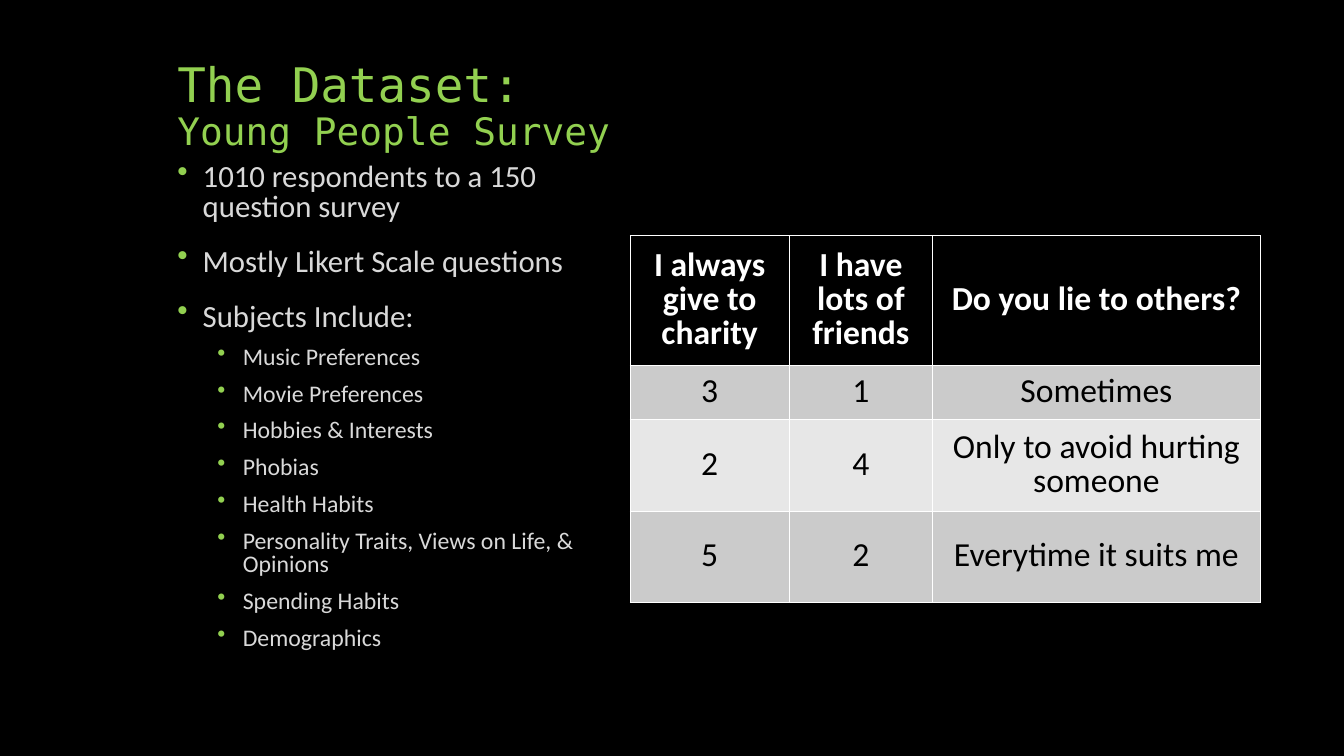
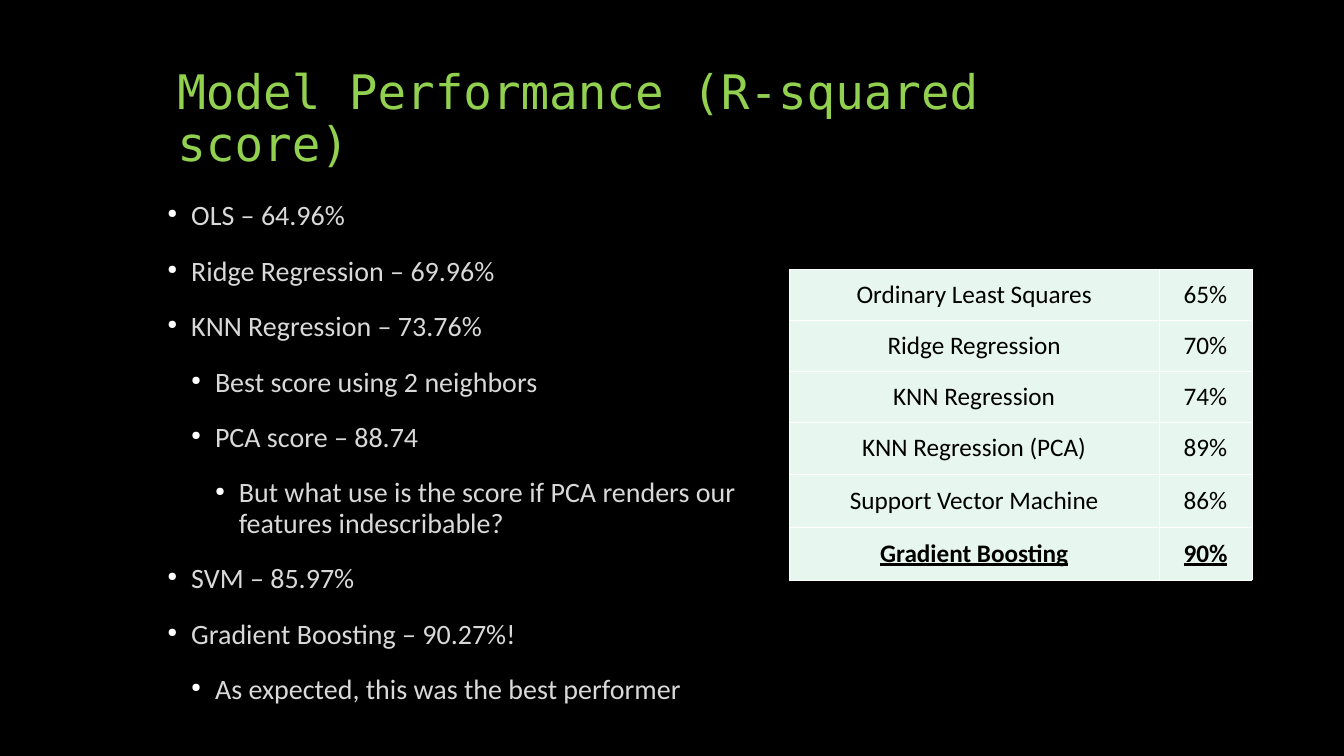
import pptx
import pptx.dml.color
import pptx.enum.text
import pptx.oxml.ns
import pptx.util
from lxml import etree

Cm = pptx.util.Cm
Pt = pptx.util.Pt

COLORS = {
    "black": "000000",
    "white": "FFFFFF",
    "green": "92D050",
    "light": "D9D9D9",
    "band_dark": "CBCBCB",
    "band_light": "E7E7E7",
    "mint": "E7F6EF",
}
TITLE_FONT = "DejaVu Sans Mono"
BODY_FONT = "Calibri"
MIDDLE = pptx.enum.text.MSO_ANCHOR.MIDDLE
BOTTOM = pptx.enum.text.MSO_ANCHOR.BOTTOM
CENTER = pptx.enum.text.PP_ALIGN.CENTER

SURVEY_POINTS = [
    (0, "1010 respondents to a 150 question survey"),
    (0, "Mostly Likert Scale questions"),
    (0, "Subjects Include:"),
    (1, "Music Preferences"),
    (1, "Movie Preferences"),
    (1, "Hobbies & Interests"),
    (1, "Phobias"),
    (1, "Health Habits"),
    (1, "Personality Traits, Views on Life, & Opinions"),
    (1, "Spending Habits"),
    (1, "Demographics"),
]
SURVEY_STYLE = {
    "sizes": [22, 17], "gaps": [18, 10], "indents": [0.64, 1.65],
    "hanging": 0.64, "spacing": 0.8, "margins": (0.25, 0.13),
    "bullet": "•", "bullet_color": "green", "bullet_percent": 100,
}
SURVEY_ROWS = [
    ("I always give to charity", "I have lots of friends", "Do you lie to others?"),
    ("3", "1", "Sometimes"),
    ("2", "4", "Only to avoid hurting someone"),
    ("5", "2", "Everytime it suits me"),
]
SCORE_POINTS = [
    (0, "OLS – 64.96%"),
    (0, "Ridge Regression – 69.96%"),
    (0, "KNN Regression – 73.76%"),
    (1, "Best score using 2 neighbors"),
    (1, "PCA score – 88.74"),
    (2, "But what use is the score if PCA renders our features indescribable?"),
    (0, "SVM – 85.97%"),
    (0, "Gradient Boosting – 90.27%!"),
    (1, "As expected, this was the best performer"),
]
SCORE_STYLE = {
    "sizes": [20] * 3, "gaps": [18] * 3, "indents": [0.6, 1.2, 1.8],
    "hanging": 0.6, "spacing": 0.9, "margins": (0, 0),
    "bullet": "●", "bullet_color": "white", "bullet_percent": 45,
}
SCORE_ROWS = [
    ("Ordinary Least Squares", "65%"),
    ("Ridge Regression", "70%"),
    ("KNN Regression", "74%"),
    ("KNN Regression (PCA)", "89%"),
    ("Support Vector Machine", "86%"),
    ("Gradient Boosting", "90%"),
]


def rgb(name):
    return pptx.dml.color.RGBColor.from_string(COLORS[name])


def add_element(parent, tag, **attributes):
    element = etree.SubElement(parent, pptx.oxml.ns.qn(tag))
    for key, value in attributes.items():
        element.set(key, str(value))
    return element


def format_runs(para, font, size, color):
    for span in para.runs:
        span.font.name = font
        span.font.size = Pt(size)
        span.font.color.rgb = rgb(color)


def set_margins(target, across, down):
    target.margin_left = target.margin_right = Cm(across)
    target.margin_top = target.margin_bottom = Cm(down)


def add_page(deck):
    page = deck.slides.add_slide(deck.slide_layouts[6])
    page.background.fill.solid()
    page.background.fill.fore_color.rgb = rgb("black")
    return page


def add_text_frame(page, box, margins):
    frame = page.shapes.add_textbox(*map(Cm, box)).text_frame
    frame.word_wrap = True
    set_margins(frame, *margins)
    return frame


def add_title(page, box, text):
    frame = add_text_frame(page, box, (0.25, 0.13))
    frame.vertical_anchor = BOTTOM
    frame.text = text
    para = frame.paragraphs[0]
    para.line_spacing = 0.9
    format_runs(para, TITLE_FONT, 34, "green")
    for span in para.runs[1:]:
        span.font.size = Pt(27)


def add_bullet(para, level, style):
    properties = para._p.get_or_add_pPr()
    properties.set("marL", str(Cm(style["indents"][level])))
    properties.set("indent", str(-Cm(style["hanging"])))
    color = add_element(properties, "a:buClr")
    add_element(color, "a:srgbClr", val=COLORS[style["bullet_color"]])
    add_element(properties, "a:buSzPct", val=style["bullet_percent"] * 1000)
    add_element(properties, "a:buChar", char=style["bullet"])


def add_points(page, box, points, style):
    frame = add_text_frame(page, box, style["margins"])
    frame.text = "\n".join(text for _, text in points)
    for index, (para, (level, _)) in enumerate(zip(frame.paragraphs, points)):
        para.level = level
        para.line_spacing = style["spacing"]
        para.space_before = Pt(style["gaps"][level] if index else 0)
        add_bullet(para, level, style)
        format_runs(para, BODY_FONT, style["sizes"][level], "light")


def set_borders(cell, widths):
    properties = cell._tc.get_or_add_tcPr()
    for side, width in zip("LRTB", widths):
        line = add_element(properties, f"a:ln{side}", w=Pt(width))
        fill = add_element(line, "a:solidFill")
        add_element(fill, "a:srgbClr", val=COLORS["white"])


def add_grid(page, box, rows, columns, heights, format_cell):
    left, top = box
    table = page.shapes.add_table(
        len(rows), len(columns), Cm(left), Cm(top), Cm(sum(columns)), Cm(sum(heights))
    ).table
    table.first_row = table.horz_banding = False
    for column, width in zip(table.columns, columns):
        column.width = Cm(width)
    for index, (row, height, texts) in enumerate(zip(table.rows, heights, rows)):
        row.height = Cm(height)
        for cell, text in zip(row.cells, texts):
            cell.text = text
            cell.vertical_anchor = MIDDLE
            cell.text_frame.paragraphs[0].alignment = CENTER
            format_cell(cell, index)


def fill_cell(cell, color):
    cell.fill.solid()
    cell.fill.fore_color.rgb = rgb(color)


def format_survey_cell(cell, index):
    header = index == 0
    para = cell.text_frame.paragraphs[0]
    para.line_spacing = 0.83
    format_runs(para, BODY_FONT, 24, "white" if header else "black")
    para.runs[0].font.bold = header
    set_margins(cell, 0.25, 0.13)
    set_borders(cell, (0.23, 0.23, 0.75 if index == 1 else 0.23, 0.75 if header else 0.23))
    fill_cell(cell, "black" if header else "band_dark" if index % 2 else "band_light")


def format_score_cell(cell, index):
    best = index == len(SCORE_ROWS) - 1
    para = cell.text_frame.paragraphs[0]
    format_runs(para, BODY_FONT, 18, "black")
    para.runs[0].font.bold = best
    para.runs[0].font.underline = best
    set_margins(cell, 0.03, 0.13)
    set_borders(cell, (0.45,) * 4)
    fill_cell(cell, "mint")


def build_dataset_page(deck):
    page = add_page(deck)
    add_title(page, (4.22, 1.27, 25.4, 2.74), "The Dataset:\vYoung People Survey")
    add_points(page, (4.22, 4.01, 12.07, 12.9), SURVEY_POINTS, SURVEY_STYLE)
    add_grid(page, (15.88, 5.93), SURVEY_ROWS, (4.01, 3.61, 8.26),
             (3.28, 1.35, 2.31, 2.31), format_survey_cell)


def build_performance_page(deck):
    page = add_page(deck)
    add_title(page, (4.22, 1.27, 25.4, 3.18), "Model Performance (R-squared score)")
    add_points(page, (4.22, 5.08, 15.24, 11.86), SCORE_POINTS, SCORE_STYLE)
    add_grid(page, (19.89, 6.78), SCORE_ROWS, (9.32, 2.34),
             (1.29, 1.29, 1.29, 1.29, 1.34, 1.33), format_score_cell)


def main():
    deck = pptx.Presentation()
    deck.slide_width = Cm(33.87)
    deck.slide_height = Cm(19.05)
    build_dataset_page(deck)
    build_performance_page(deck)
    deck.save("out.pptx")


if __name__ == "__main__":
    main()
